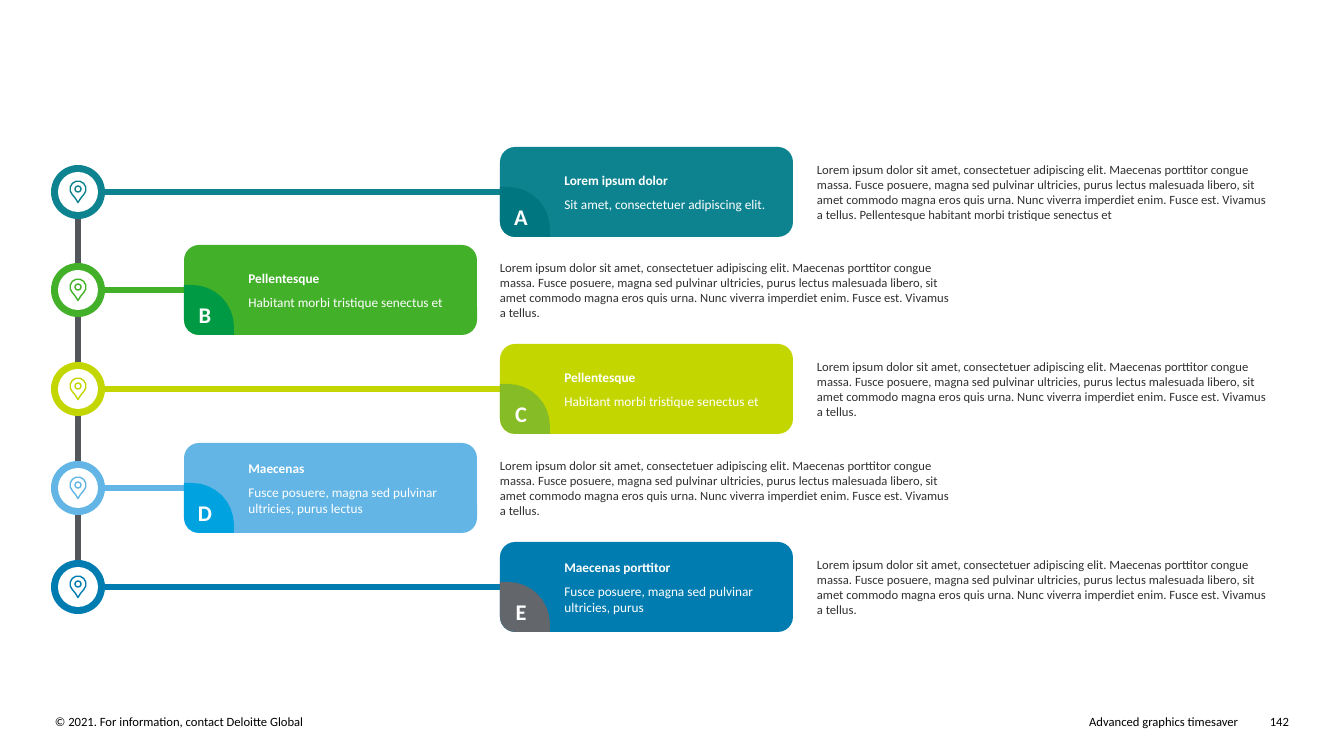
from dataclasses import dataclass
from math import cos, radians, sin

from lxml.etree import SubElement
from pptx import Presentation
from pptx.dml.color import RGBColor
from pptx.enum.shapes import MSO_CONNECTOR, MSO_SHAPE
from pptx.enum.text import MSO_ANCHOR, PP_ALIGN
from pptx.oxml.ns import qn
from pptx.util import Emu, Pt

EMU_PER_PX = 914400 / 100.8


@dataclass(frozen=True)
class Theme:
    font: str = "Calibri"
    white: str = "FFFFFF"
    black: str = "000000"
    body: str = "313131"
    spine: str = "53565A"
    small: float = 9
    card: float = 9.5
    letter: float = 16
    line: float = 3.75
    pin_line: float = 1


THEME = Theme()

# Layout in px
AXIS_X = 78
FIRST_Y = 192
LAST_Y = 587
DISC, FACE = 54, 40
PIN_HEAD, PIN_DOT, PIN_RISE = 16, 6, 3
CARD_W, CARD_H = 293, 90
BADGE = 50
DETAIL_W, DETAIL_H = 456, 62
NEAR = (184, 500)  # card left, detail left
FAR = (500, 817)

DETAIL = (
    "Lorem ipsum dolor sit amet, consectetuer adipiscing elit. Maecenas porttitor congue massa. "
    "Fusce posuere, magna sed pulvinar ultricies, purus lectus malesuada libero, sit amet commodo "
    "magna eros quis urna. Nunc viverra imperdiet enim. Fusce est. Vivamus a tellus."
)

# Letter, columns, card colour, badge colour, title, subtitle, detail
STOPS = [
    ("A", FAR, "0D8390", "007680", "Lorem ipsum dolor",
     "Sit amet, consectetuer adipiscing elit.",
     DETAIL + " Pellentesque habitant morbi tristique senectus et"),
    ("B", NEAR, "43B02A", "009A44", "Pellentesque",
     "Habitant morbi tristique senectus et", DETAIL),
    ("C", FAR, "C4D600", "86BC25", "Pellentesque",
     "Habitant morbi tristique senectus et", DETAIL),
    ("D", NEAR, "62B5E5", "00A3E0", "Maecenas",
     "Fusce posuere, magna sed pulvinar ultricies, purus lectus", DETAIL),
    ("E", FAR, "007CB0", "63666A", "Maecenas porttitor",
     "Fusce posuere, magna sed pulvinar ultricies, purus", DETAIL),
]

# Left, width, alignment, text
FOOTER = [
    (55, 591, PP_ALIGN.LEFT, "© 2021. For information, contact Deloitte Global"),
    (699, 539, PP_ALIGN.RIGHT, "Advanced graphics timesaver"),
    (1255, 34, PP_ALIGN.RIGHT, "142"),
]


def px(length):
    return Emu(round(length * EMU_PER_PX))


def paint(shape, color, outline=None):
    shape.fill.solid()
    shape.fill.fore_color.rgb = RGBColor.from_string(color)
    if outline:
        shape.line.color.rgb = RGBColor.from_string(outline)
        shape.line.width = Pt(THEME.pin_line)
    else:
        shape.line.fill.background()
    shape.shadow.inherit = False


def style(paragraph, size, color, bold=False, align=PP_ALIGN.LEFT):
    paragraph.alignment = align
    for run in paragraph.runs:
        run.font.name = THEME.font
        run.font.size = Pt(size)
        run.font.bold = bold
        run.font.color.rgb = RGBColor.from_string(color)


def set_frame(frame, left=0, top=0, right=0, bottom=0, anchor=MSO_ANCHOR.MIDDLE):
    frame.word_wrap = True
    frame.vertical_anchor = anchor
    frame.margin_left, frame.margin_top = px(left), px(top)
    frame.margin_right, frame.margin_bottom = px(right), px(bottom)


def arc(center_x, center_y, radius, start, end, steps):
    """Points along an arc; angles in degrees, clockwise from the right."""
    angles = [radians(start + (end - start) * step / steps) for step in range(steps + 1)]
    return [(center_x + radius * cos(a), center_y + radius * sin(a)) for a in angles]


def add_line(slide, start, end, color):
    line = slide.shapes.add_connector(
        MSO_CONNECTOR.STRAIGHT, *map(px, start), *map(px, end))
    line.line.color.rgb = RGBColor.from_string(color)
    line.line.width = Pt(THEME.line)
    SubElement(line._element.spPr, qn("a:effectLst"))
    return line


def add_text(slide, left, top, width, height, text, color,
             align=PP_ALIGN.LEFT, anchor=MSO_ANCHOR.MIDDLE):
    box = slide.shapes.add_textbox(px(left), px(top), px(width), px(height))
    set_frame(box.text_frame, anchor=anchor)
    box.text_frame.text = text
    style(box.text_frame.paragraphs[0], THEME.small, color, align=align)


def add_round(slide, preset, center_y, size, color, outline=None):
    """A shape centred on the spine."""
    part = slide.shapes.add_shape(
        preset, px(AXIS_X - size // 2), px(center_y - size // 2), px(size), px(size))
    paint(part, color, outline)
    return part


def add_marker(slide, center_y, color):
    add_round(slide, MSO_SHAPE.OVAL, center_y, DISC, color)
    add_round(slide, MSO_SHAPE.OVAL, center_y, FACE, THEME.white)
    pin = add_round(slide, MSO_SHAPE.TEAR, center_y - PIN_RISE, PIN_HEAD, THEME.white, color)
    pin.adjustments[0] = 1.2
    pin.rotation = 135
    add_round(slide, MSO_SHAPE.OVAL, center_y - PIN_RISE, PIN_DOT, THEME.white, color)


def add_card(slide, left, center_y, color, title, subtitle):
    card = slide.shapes.add_shape(
        MSO_SHAPE.ROUNDED_RECTANGLE, px(left), px(center_y - CARD_H // 2), px(CARD_W), px(CARD_H))
    paint(card, color)
    frame = card.text_frame
    set_frame(frame, 60, 12, 12, 12)
    frame.text = title
    style(frame.paragraphs[0], THEME.card, THEME.white, bold=True)
    second = frame.add_paragraph()
    second.text = subtitle
    second.space_before = Pt(6)
    style(second, THEME.card, THEME.white)
    return card


def add_badge(slide, left, center_y, color, letter):
    bottom = center_y + CARD_H // 2
    top, right = bottom - BADGE, left + BADGE
    quarter = arc(left + 8, top + 42, 42, -90, 0, 8)
    corner = arc(left + 15, bottom - 15, 15, 90, 180, 4)
    builder = slide.shapes.build_freeform(left, top, scale=EMU_PER_PX)
    builder = slide.shapes.build_freeform(px(left), px(top), scale=1.0)
    builder.add_line_segments(
        [(px(x), px(y)) for x, y in quarter + [(right, bottom)] + corner], close=True)
    badge = builder.convert_to_shape()
    paint(badge, color)
    set_frame(badge.text_frame, top=8, right=8)
    badge.text_frame.text = letter
    paragraph = badge.text_frame.paragraphs[0]
    paragraph.line_spacing = 1.06
    style(paragraph, THEME.letter, THEME.white, bold=True, align=PP_ALIGN.CENTER)


def main():
    deck = Presentation()
    deck.slide_width, deck.slide_height = px(1344), px(756)
    slide = deck.slides.add_slide(deck.slide_layouts[6])

    # Footer
    for left, width, align, text in FOOTER:
        add_text(slide, left, 714, width, 15, text, THEME.black, align, MSO_ANCHOR.TOP)

    # Vertical spine
    add_line(slide, (AXIS_X, FIRST_Y + DISC // 2), (AXIS_X, LAST_Y - DISC // 2), THEME.spine)

    # Stops, evenly spaced down the spine
    for index, (letter, columns, color, badge_color, title, subtitle, detail) in enumerate(STOPS):
        center_y = FIRST_Y + (LAST_Y - FIRST_Y) * index // (len(STOPS) - 1)
        card_left, detail_left = columns
        card = add_card(slide, card_left, center_y, color, title, subtitle)
        branch = add_line(
            slide, (AXIS_X + DISC // 2, center_y), (card_left, center_y), color)
        branch.end_connect(card, 1)
        add_marker(slide, center_y, color)
        add_badge(slide, card_left, center_y, badge_color, letter)
        add_text(slide, detail_left, center_y - DETAIL_H // 2, DETAIL_W, DETAIL_H,
                 detail, THEME.body)

    deck.save("out.pptx")


if __name__ == "__main__":
    main()
